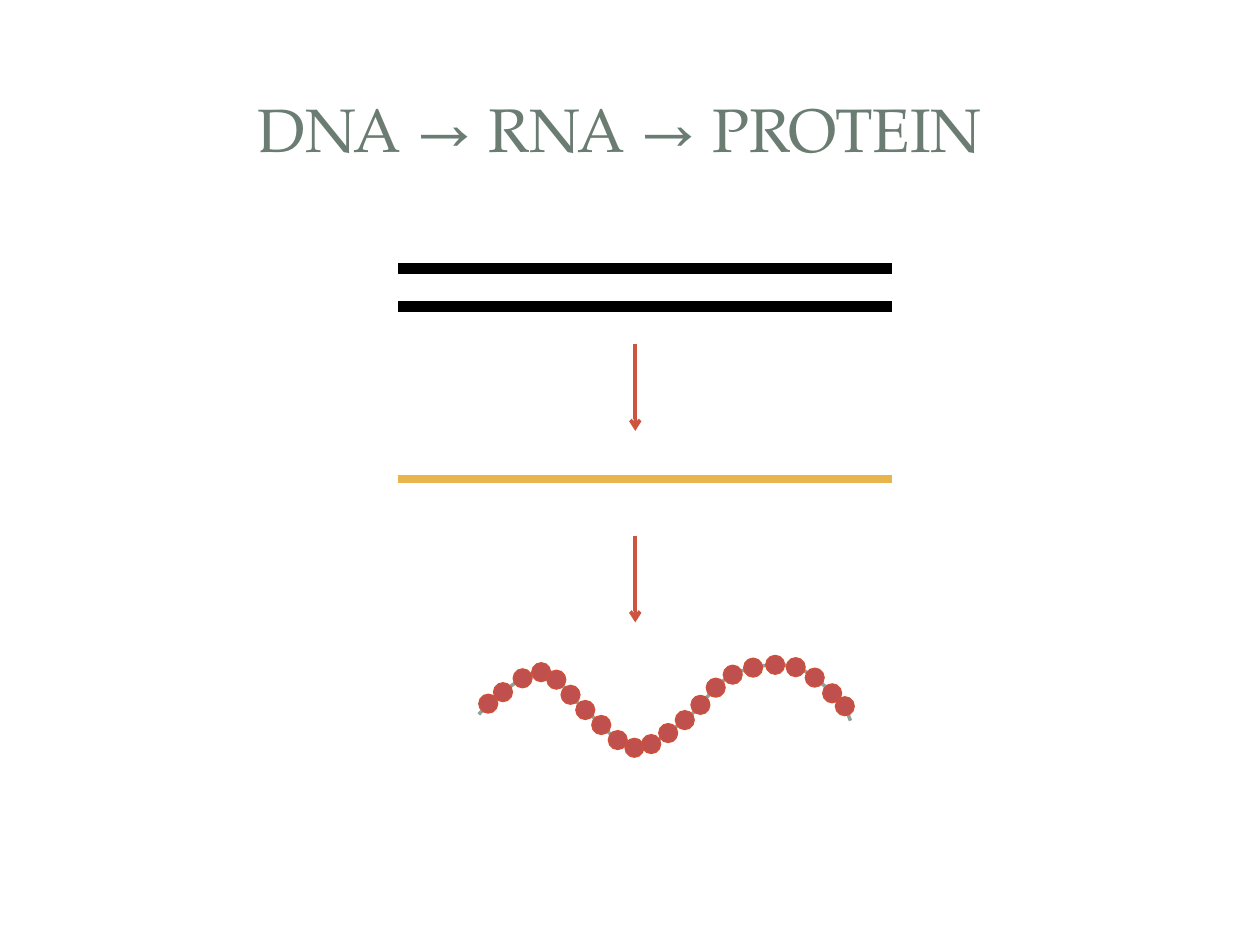
"""Build a slide that shows the flow from DNA through RNA to protein."""
from dataclasses import dataclass

from lxml import etree
from pptx import Presentation
from pptx import util as u
from pptx.dml.color import RGBColor
from pptx.enum import shapes, text
from pptx.oxml.ns import qn

# The slide is a grid of 100 columns by 75 rows of square cells.
COLUMNS, ROWS = 100, 75
CELL = u.Inches(0.1)

TITLE = "DNA → RNA → PROTEIN "
TITLE_BOX = (4.67, 4.5, 90.3, 11.4)  # column, row, width, height

STRAND_LEFT, STRAND_RIGHT = 31.6, 70.8
DNA_ROW, DNA_GAP, DNA_STRANDS = 21.3, 3.02, 2
RNA_ROW = 38

ARROW_COLUMN, ARROW_LENGTH = 50.42, 6.9
TRANSCRIPTION_ROW, TRANSLATION_ROW = 27.3, 42.5

# The protein is a smooth wave through these points (column, row).
CHAIN_START, CHAIN_END = (38, 56.7), (67.5, 57.2)
WAVE = [
    (38.75, 55.85),  # first bead
    (42.95, 53.35),  # first crest
    (46.45, 56.35),  # going down
    (50.35, 59.35),  # trough
    (54.35, 57.15),  # going up
    (58.15, 53.55),  # near the second crest
    (63.15, 52.95),  # past the second crest
    (67.05, 56.05),  # last bead
]
BEADS_PER_SPAN = 3   # beads from one wave point to the next
STEPS_PER_BEAD = 4   # curve steps from one bead to the next
BEAD_SIZE = 1.5


@dataclass(frozen=True)
class Stroke:
    """A line's colour and its width in points."""
    colour: str
    width: float


@dataclass(frozen=True)
class Theme:
    """Font, type size, colours and strokes."""
    font: str = "TeX Gyre Pagella"
    title_size: float = 35
    title: str = "6B7D72"
    bead: str = "C0504D"
    bead_edge: Stroke = Stroke("CE503A", 0.75)
    dna: Stroke = Stroke("000000", 6)
    rna: Stroke = Stroke("E8B54D", 4.5)
    arrow: Stroke = Stroke("CF543F", 2)
    backbone: Stroke = Stroke("93A299", 2)


THEME = Theme()


def cells(*counts):
    """Turn counts of grid cells into lengths."""
    return [u.Emu(round(count * CELL)) for count in counts]


def spline(before, start, end, after, t):
    """Return the Catmull-Rom point at share t of the way to end."""
    return tuple(
        (2 * b + (c - a) * t + (2 * a - 5 * b + 4 * c - d) * t ** 2
         + (3 * b - a - 3 * c + d) * t ** 3) / 2
        for a, b, c, d in zip(before, start, end, after))


def wave_curve():
    """Return the points of the wave, from the first bead to the last."""
    knots = [CHAIN_START, *WAVE, CHAIN_END]
    steps = BEADS_PER_SPAN * STEPS_PER_BEAD
    curve = [spline(*neighbours, step / steps)
             for neighbours in zip(knots, knots[1:], knots[2:], knots[3:])
             for step in range(steps)]
    return curve + [WAVE[-1]]


def apply_stroke(shape, stroke):
    """Give a shape's line its colour and width."""
    shape.line.color.rgb = RGBColor.from_string(stroke.colour)
    shape.line.width = u.Pt(stroke.width)


def add_title(slide):
    """Add the centred title."""
    frame = slide.shapes.add_textbox(*cells(*TITLE_BOX)).text_frame
    frame.word_wrap = True
    frame.vertical_anchor = text.MSO_ANCHOR.MIDDLE
    paragraph = frame.paragraphs[0]
    paragraph.text = TITLE
    paragraph.alignment = text.PP_ALIGN.CENTER
    paragraph.font.name = THEME.font
    paragraph.font.size = u.Pt(THEME.title_size)
    paragraph.font.color.rgb = RGBColor.from_string(THEME.title)


def add_line(slide, start, end, stroke):
    """Add a straight line without shadow and return it."""
    connector = slide.shapes.add_connector(
        shapes.MSO_CONNECTOR.STRAIGHT, *cells(*start, *end))
    apply_stroke(connector, stroke)
    etree.SubElement(connector._element.spPr, qn("a:effectLst"))
    return connector


def add_strand(slide, row, stroke):
    """Add one horizontal strand of a nucleic acid."""
    add_line(slide, (STRAND_LEFT, row), (STRAND_RIGHT, row), stroke)


def add_down_arrow(slide, row):
    """Add an arrow that leads down to the next molecule."""
    arrow = add_line(slide, (ARROW_COLUMN, row),
                     (ARROW_COLUMN, row + ARROW_LENGTH), THEME.arrow)
    line = arrow._element.spPr.find(qn("a:ln"))
    etree.SubElement(line, qn("a:tailEnd"), type="arrow")


def add_backbone(slide, curve):
    """Add the open curve that joins the beads."""
    start, *bends = [cells(*point) for point in curve]
    builder = slide.shapes.build_freeform(*start)
    builder.add_line_segments(bends, close=False)
    backbone = builder.convert_to_shape()
    backbone.shadow.inherit = False
    backbone.fill.background()
    apply_stroke(backbone, THEME.backbone)


def add_bead(slide, column, row):
    """Add one amino acid, centred on a point of the wave."""
    corner = (column - BEAD_SIZE / 2, row - BEAD_SIZE / 2)
    bead = slide.shapes.add_shape(
        shapes.MSO_SHAPE.OVAL, *cells(*corner, BEAD_SIZE, BEAD_SIZE))
    bead.shadow.inherit = False
    bead.fill.solid()
    bead.fill.fore_color.rgb = RGBColor.from_string(THEME.bead)
    apply_stroke(bead, THEME.bead_edge)


def add_protein(slide):
    """Add the backbone and, at equal steps along it, the beads."""
    curve = wave_curve()
    add_backbone(slide, [CHAIN_START, *curve, CHAIN_END])
    for column, row in curve[::STEPS_PER_BEAD]:
        add_bead(slide, column, row)


def main():
    """Build and save the slide."""
    presentation = Presentation()
    presentation.slide_width, presentation.slide_height = cells(COLUMNS, ROWS)
    slide = presentation.slides.add_slide(presentation.slide_layouts[6])

    add_title(slide)
    for strand in range(DNA_STRANDS):
        add_strand(slide, DNA_ROW + strand * DNA_GAP, THEME.dna)
    add_down_arrow(slide, TRANSCRIPTION_ROW)
    add_strand(slide, RNA_ROW, THEME.rna)
    add_down_arrow(slide, TRANSLATION_ROW)
    add_protein(slide)

    presentation.save("out.pptx")


main()
